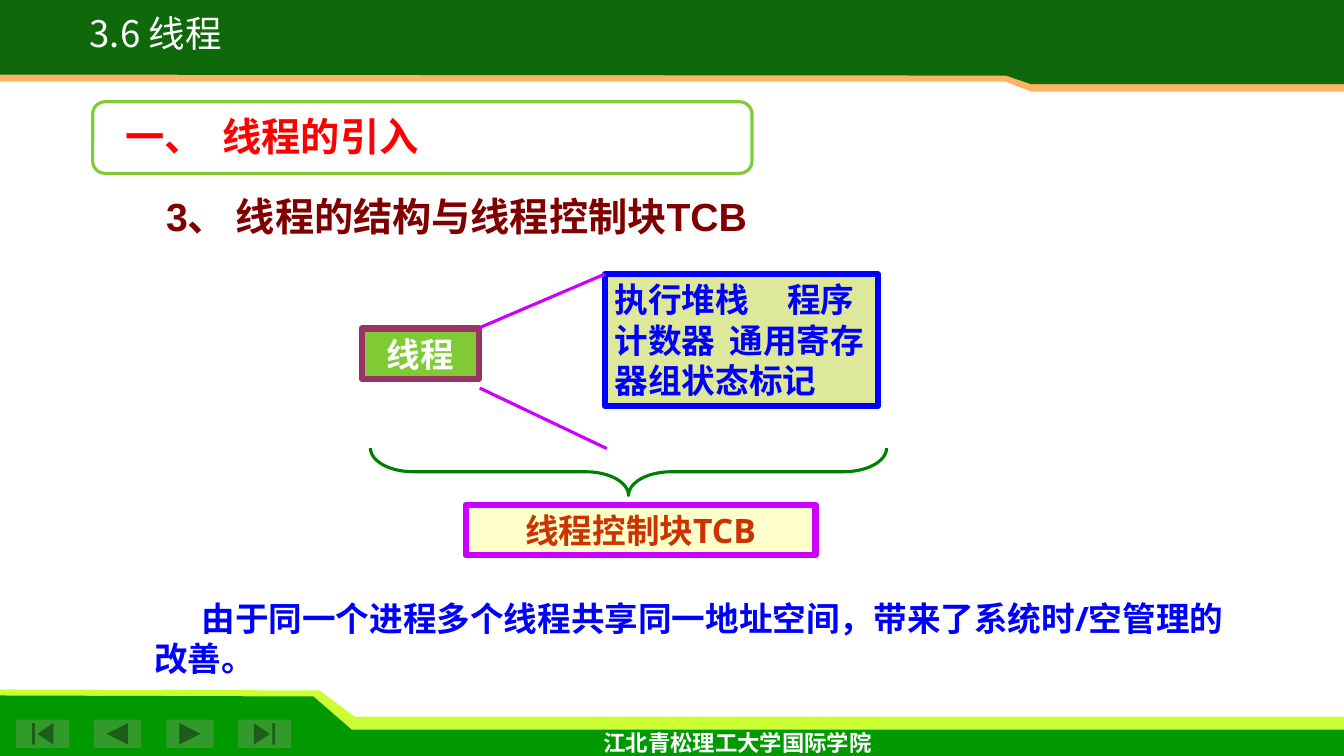
"""Build the slide on threads and the thread control block (TCB)."""
from lxml import etree
from pptx import Presentation, util as u
from pptx.dml.color import RGBColor
from pptx.enum import shapes, text
from pptx.oxml import ns

CELL = u.Inches(0.1)
COLUMNS, ROWS = 133.33, 75
BLUE, PURPLE, LIME, WHITE = "0000FF", "CC00FF", "80CB35", "FFFFFF"
CENTER = text.PP_ALIGN.CENTER
KIND = shapes.MSO_SHAPE


def cells(*counts):
    return [u.Emu(round(count * CELL)) for count in counts]


def color(value):
    return RGBColor.from_string(value)


def set_values(target, values):
    for key, value in values.items():
        setattr(target, key, value)


class Board:
    """Holds the style and the current slide; lengths are grid cells."""

    body = {"size": u.Pt(24), "bold": True, "name": "Open Sans"}

    def __init__(self, slide):
        self.slide = slide

    def paint(self, shape, fill=None, line=None, weight=2.25):
        shape.shadow.inherit = False
        if fill:
            shape.fill.solid()
            shape.fill.fore_color.rgb = color(fill)
        else:
            shape.fill.background()
        if line:
            shape.line.color.rgb = color(line)
            shape.line.width = u.Pt(weight)
        else:
            shape.line.fill.background()

    def band(self, points, fill):
        start, *rest = [cells(*point) for point in points]
        builder = self.slide.shapes.build_freeform(*start, scale=1.0)
        builder.add_line_segments(rest, close=True)
        self.paint(builder.convert_to_shape(), fill)

    def shape(self, kind, box, adjustments=(), rotation=0, **look):
        shape = self.slide.shapes.add_shape(kind, *cells(*box))
        shape.rotation = rotation
        for index, value in enumerate(adjustments):
            shape.adjustments[index] = value
        self.paint(shape, **look)
        return shape

    def line(self, start, end, stroke):
        line = self.slide.shapes.add_connector(
            shapes.MSO_CONNECTOR.STRAIGHT, *cells(*start, *end))
        line.line.color.rgb = color(stroke)
        line.line.width = u.Pt(2.25)
        etree.SubElement(line._element.spPr, ns.qn("a:effectLst"))

    def put_words(self, shape, words, ink, font=None, align=None, wrap=True,
                  spacing=None, indent=0, tabs=()):
        frame = shape.text_frame
        set_values(frame, {"word_wrap": wrap,
                           "vertical_anchor": text.MSO_ANCHOR.TOP})
        paragraph = frame.paragraphs[0]
        set_values(paragraph, {"alignment": align or text.PP_ALIGN.LEFT,
                               "line_spacing": spacing})
        properties = paragraph._p.get_or_add_pPr()
        if indent:
            properties.set("indent", str(cells(indent)[0]))
        if tabs:
            stops = etree.SubElement(properties, ns.qn("a:tabLst"))
            for stop in cells(*tabs):
                etree.SubElement(stops, ns.qn("a:tab"), pos=str(stop), algn="l")
        run = paragraph.add_run()
        run.text = words
        set_values(run.font, self.body | (font or {}))
        run.font.color.rgb = color(ink)

    def label(self, box, words, ink, **style):
        frame = self.slide.shapes.add_textbox(*cells(*box))
        self.put_words(frame, words, ink, **style)

    def box(self, box, words, ink, fill, line, **style):
        shape = self.shape(KIND.RECTANGLE, box, fill=fill, line=line, weight=4.5)
        self.put_words(shape, words, ink, **style)


deck = Presentation()
deck.slide_width, deck.slide_height = cells(COLUMNS, ROWS)
board = Board(deck.slides.add_slide(deck.slide_layouts[6]))

board.band([(0, 68.4), (31.7, 68.5), (35.2, 71.1), (COLUMNS, 71.1),
            (COLUMNS, 74), (0, 74)], "CCFF33")
board.band([(0, 69), (31.1, 69.1), (34.9, 72.4), (COLUMNS, 72.4),
            (COLUMNS, ROWS), (0, ROWS)], "009900")
for button, left, width in [(KIND.ACTION_BUTTON_BEGINNING, 1.6, 5.3),
                            (KIND.ACTION_BUTTON_BACK_OR_PREVIOUS, 9.3, 4.7),
                            (KIND.ACTION_BUTTON_FORWARD_OR_NEXT, 16.5, 4.7),
                            (KIND.ACTION_BUTTON_END, 23.6, 5.3)]:
    board.shape(button, (left, 71.4, width, 2.8), fill="329A2A")
for left_edge, step, right_edge, fill in [(8.1, 8.1, 9.1, "FBB561"),
                                          (7.4, 7.5, 8.35, "0F690B")]:
    board.band([(0, 0), (0, left_edge), (99.8, step), (102.3, right_edge),
                (COLUMNS, right_edge), (COLUMNS, 0)], fill)
board.label((58.9, 71.8, 28.9, 3.2), "江北青松理工大学国际学院", WHITE,
            font={"size": u.Pt(16)}, wrap=False)
board.label((5.2, 1.4, 20.5, 4.6), "3.6 线程", WHITE, align=CENTER, wrap=False,
            spacing=0.8, font={"size": u.Pt(26.1), "bold": False,
                               "name": "Noto Sans CJK SC"})

board.shape(KIND.ROUNDED_RECTANGLE, (9.2, 10.1, 65.4, 7.1), [0.17],
            fill=WHITE, line=LIME)
board.label((11.5, 10.7, 57.5, 5.7), "一、\t线程的引入", "FF0000", tabs=[9.6],
            font={"size": u.Pt(28), "name": "Times New Roman"})
board.label((15.5, 18.6, 71.6, 5.7), "3、 线程的结构与线程控制块TCB", "800000",
            font={"size": u.Pt(28), "name": "Arial"})

board.box((60, 27.2, 27.1, 13.1), "执行堆栈\t程序计数器\t通用寄存器组状态标记",
          BLUE, "DDE89A", BLUE, tabs=[11.4, 17.1])
board.box((35.9, 32.6, 11.6, 5), "线程", WHITE, LIME, "993366", align=CENTER)
board.line((47.6, 32.5), (60, 27.2), PURPLE)
board.line((47.6, 38.5), (60.2, 44.5), PURPLE)
board.shape(KIND.LEFT_BRACE, (60, 21.2, 4.7, 51.2), [0.9, 0.5], 270, line="008000")
board.box((46.2, 50.1, 34.7, 5), "线程控制块TCB", "CC3300", "FFFFCC", PURPLE,
          align=CENTER)
board.label((14.3, 58.8, 109.5, 9.1),
            "由于同一个进程多个线程共享同一地址空间，带来了系统时/空管理的改善。",
            BLUE, indent=4.7)

deck.save("out.pptx")
